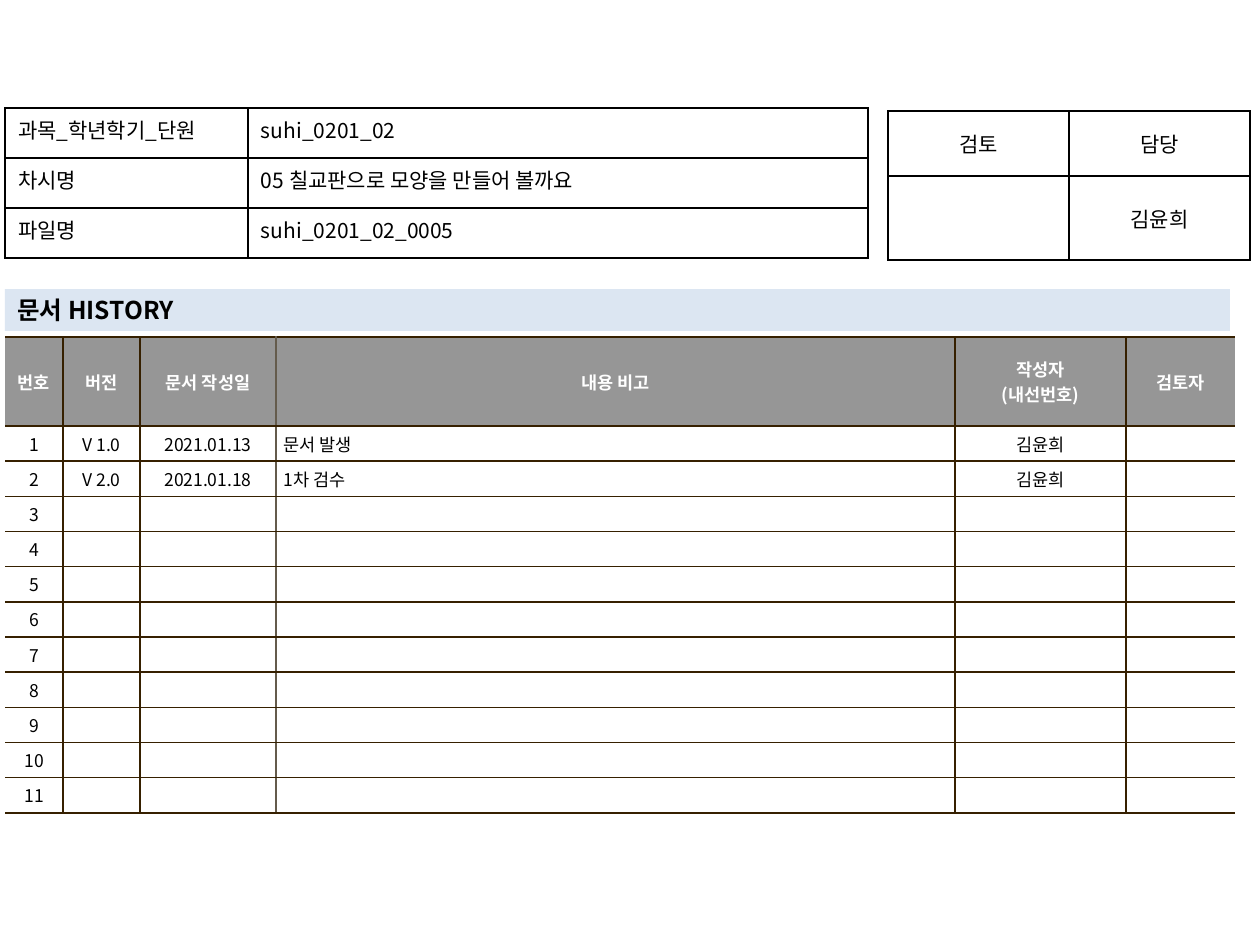
import lxml.etree
import pptx
import pptx.dml.color
import pptx.enum.shapes
import pptx.enum.text
import pptx.oxml.ns
import pptx.util

PX = 914400 // 126
FONT = "Noto Sans CJK KR"
ALIGN = pptx.enum.text.PP_ALIGN
ANCHOR = pptx.enum.text.MSO_ANCHOR
BLACK, WHITE = "000000", "FFFFFF"
BROWN, TAUPE, GREY, PALE_BLUE = "362000", "645B4C", "969696", "DCE6F2"
SIDES = ("L", "R", "T", "B")


def px(length):
    """Turn whole pixels into EMU."""
    return pptx.util.Emu(length * PX)


def color(value):
    """Turn a hex string into a colour."""
    return pptx.dml.color.RGBColor.from_string(value)


def set_attributes(target, values):
    """Set every attribute named in a dict of format values."""
    for name, value in values.items():
        setattr(target, name, value)


def add_element(parent, tag, **attributes):
    """Append a drawing element to its parent."""
    return lxml.etree.SubElement(parent, pptx.oxml.ns.qn(tag), attributes)


def write_text(frame, text, size, align, ink=BLACK, bold=False):
    """Fill a text frame with one paragraph for each line."""
    for index, line in enumerate(text.split("\n")):
        paragraph = frame.add_paragraph() if index else frame.paragraphs[0]
        paragraph.alignment = align
        if not line:
            add_element(paragraph._p, "a:endParaRPr", sz=str(size * 100))
            continue
        run = paragraph.add_run()
        run.text = line
        set_attributes(run.font, {"size": pptx.util.Pt(size), "bold": bold, "name": FONT})
        run.font.color.rgb = color(ink)
        add_element(run._r.get_or_add_rPr(), "a:ea", typeface=FONT)


def draw_borders(cell, colors):
    """Draw one-point cell borders, leaving out sides set to None."""
    properties = cell._tc.get_or_add_tcPr()
    for index, side in enumerate(SIDES):
        line = add_element(properties, f"a:ln{side}", w="12700")
        properties.insert(index, line)
        if colors[side]:
            add_element(add_element(line, "a:solidFill"), "a:srgbClr", val=colors[side])
        else:
            add_element(line, "a:noFill")


def add_grid(slide, box, widths, heights):
    """Add a plain table with the given column widths and row heights."""
    table = slide.shapes.add_table(len(heights), len(widths), *map(px, box)).table
    set_attributes(table, {"first_row": False, "horz_banding": False})
    for column, width in zip(table.columns, widths):
        column.width = px(width)
    for row, height in zip(table.rows, heights):
        row.height = px(height)
    return table


def format_cell(cell, margins, anchor, fill=None):
    """Set the margins, anchor and fill of a cell."""
    side, end = map(px, margins)
    set_attributes(cell, {
        "margin_left": side, "margin_right": side,
        "margin_top": end, "margin_bottom": end, "vertical_anchor": anchor,
    })
    if fill:
        cell.fill.solid()
        cell.fill.fore_color.rgb = color(fill)
    else:
        cell.fill.background()


def add_form(slide, box, widths, heights, rows, aligns, anchor):
    """Add a black-ruled form table without fill."""
    table = add_grid(slide, box, widths, heights)
    for row_index, texts in enumerate(rows):
        for column_index, text in enumerate(texts):
            cell = table.cell(row_index, column_index)
            format_cell(cell, (13, 6), anchor)
            draw_borders(cell, dict.fromkeys(SIDES, BLACK))
            write_text(cell.text_frame, text, 12, aligns[column_index])


def add_document_info(slide, box):
    """Add the table naming the subject, lesson and file."""
    label_width = 243
    rows = [
        ("과목_학년학기_단원", "suhi_0201_02"),
        ("차시명", "05 칠교판으로 모양을 만들어 볼까요"),
        ("파일명", "suhi_0201_02_0005"),
    ]
    add_form(slide, box, (label_width, box[2] - label_width),
             [box[3] // len(rows)] * len(rows), rows,
             (ALIGN.JUSTIFY, ALIGN.LEFT), ANCHOR.TOP)


def add_approval(slide, box):
    """Add the table of reviewer and person in charge."""
    heading_height = 65
    add_form(slide, box, [box[2] // 2] * 2, (heading_height, box[3] - heading_height),
             [("검토", "담당"), ("", "김윤희")], [ALIGN.CENTER] * 2, ANCHOR.MIDDLE)


def add_history_title(slide, box):
    """Add the title bar above the history table."""
    shape = slide.shapes.add_shape(pptx.enum.shapes.MSO_SHAPE.RECTANGLE, *map(px, box))
    shape.shadow.inherit = False
    shape.fill.solid()
    shape.fill.fore_color.rgb = color(PALE_BLUE)
    shape.line.fill.background()
    set_attributes(shape.text_frame, {"word_wrap": True, "vertical_anchor": ANCHOR.MIDDLE})
    write_text(shape.text_frame, "문서 HISTORY", 14, ALIGN.LEFT, bold=True)


def add_history(slide, box):
    """Add the numbered document history table."""
    headings = ("번호", "버전", "문서 작성일", "내용 비고", "작성자\n(내선번호)", "검토자")
    entries = [
        ("V 1.0", "2021.01.13", "문서 발생", "김윤희", ""),
        ("V 2.0", "2021.01.18", "1차 검수", "김윤희", ""),
    ]
    entry_count, heading_height, note_column = 11, 89, 3
    entries += [("",) * 5] * (entry_count - len(entries))
    rows = [headings] + [(str(number), *entry) for number, entry in enumerate(entries, 1)]
    widths = [58, 77, 136, 0, 171, 109]
    widths[note_column] = box[2] - sum(widths)
    entry_height = (box[3] - heading_height) // entry_count
    table = add_grid(slide, box, widths, [heading_height] + [entry_height] * entry_count)
    vertical = [None] + [BROWN] * (len(headings) - 1) + [None]
    vertical[note_column] = TAUPE
    for row_index, texts in enumerate(rows):
        heading = row_index == 0
        for column_index, text in enumerate(texts):
            cell = table.cell(row_index, column_index)
            format_cell(cell, (8, 5), ANCHOR.MIDDLE, GREY if heading else WHITE)
            draw_borders(cell, {"L": vertical[column_index], "R": vertical[column_index + 1],
                                "T": BROWN, "B": BROWN})
            is_note = column_index == note_column and not heading
            write_text(cell.text_frame, text, 10, ALIGN.LEFT if is_note else ALIGN.CENTER,
                       WHITE if heading else BLACK, heading)


def main():
    """Build and save the document history slide."""
    presentation = pptx.Presentation()
    set_attributes(presentation, {"slide_width": pptx.util.Inches(10),
                                  "slide_height": pptx.util.Inches(7.5)})
    slide = presentation.slides.add_slide(presentation.slide_layouts[6])
    add_history(slide, (5, 337, 1230, 474))
    add_approval(slide, (888, 111, 363, 149))
    add_history_title(slide, (5, 289, 1225, 42))
    add_document_info(slide, (5, 108, 863, 150))
    presentation.save("out.pptx")


if __name__ == "__main__":
    main()
